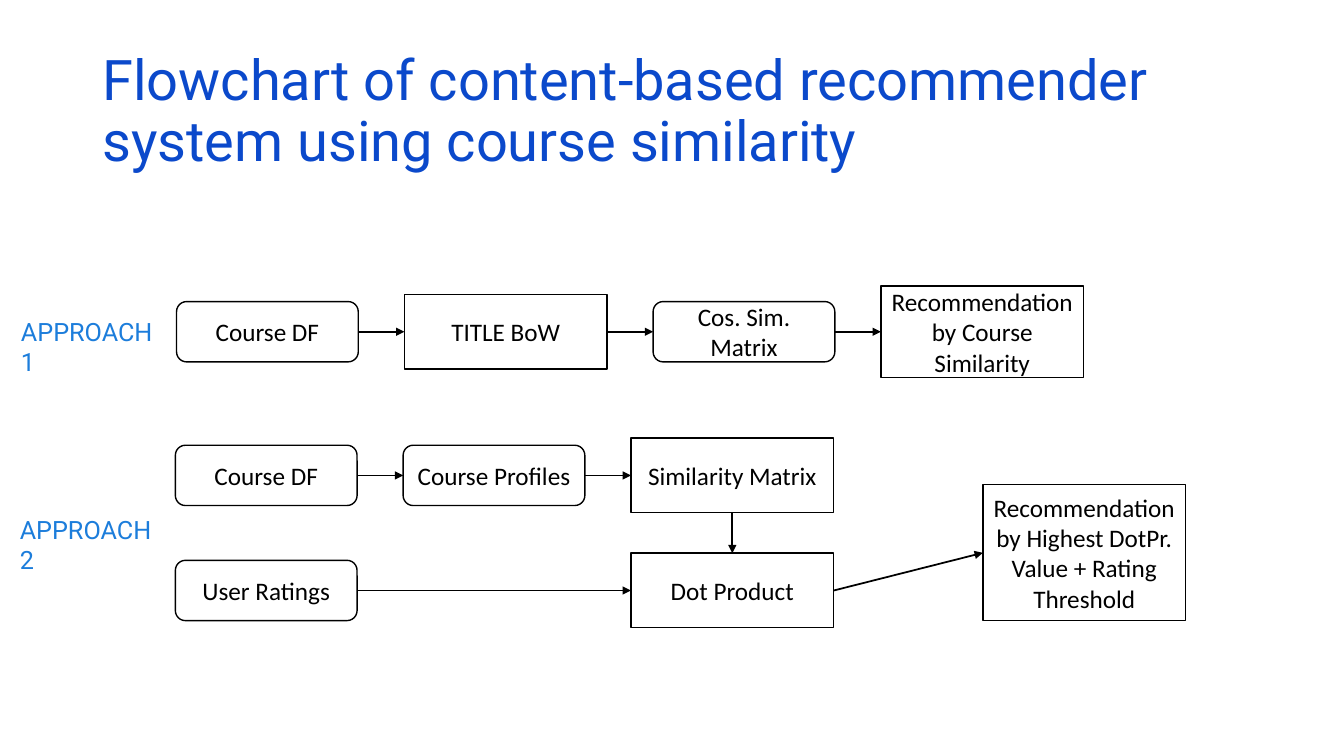
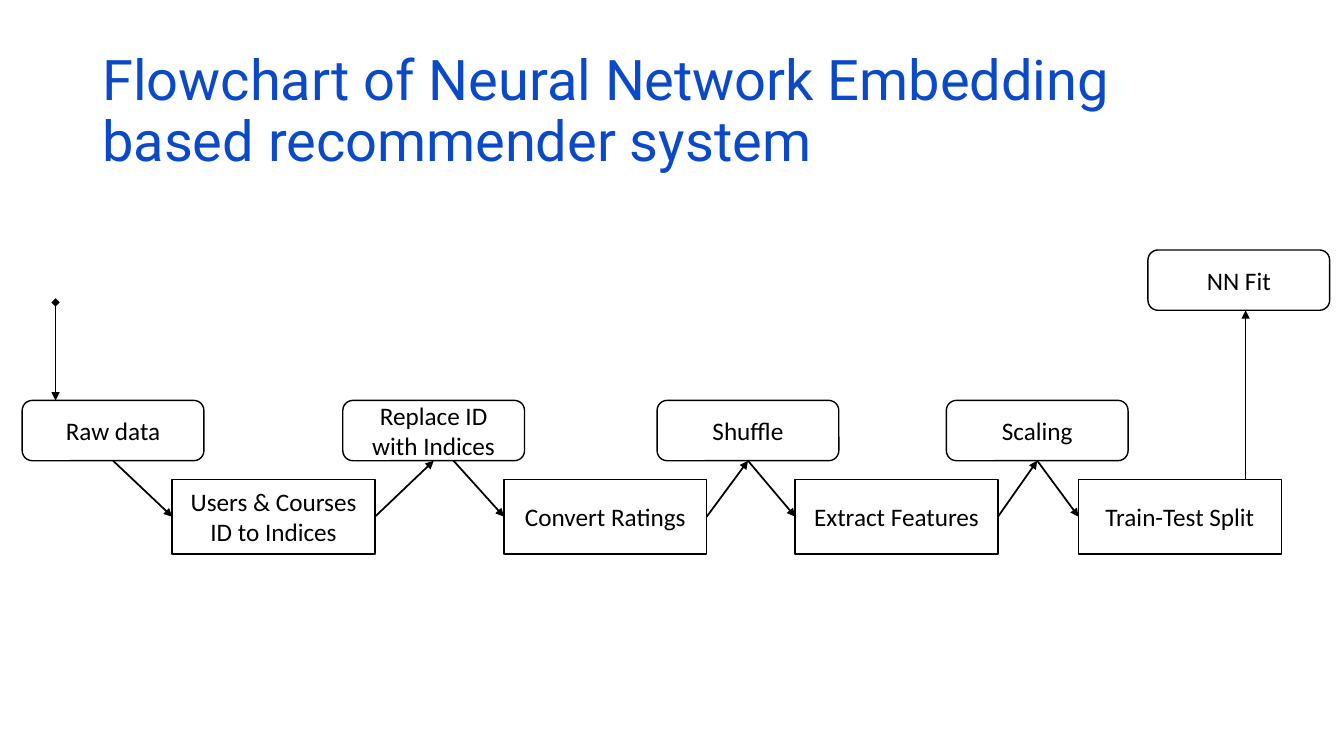
from dataclasses import dataclass
from itertools import pairwise

from lxml.etree import SubElement
from pptx import Presentation
from pptx.dml.color import RGBColor
from pptx.enum.shapes import MSO_CONNECTOR, MSO_SHAPE
from pptx.enum.text import MSO_ANCHOR, PP_ALIGN
from pptx.oxml.ns import qn
from pptx.util import Cm, Pt


@dataclass(frozen=True)
class Theme:
    title_color: RGBColor = RGBColor(0x0B, 0x49, 0xCB)
    label_color: RGBColor = RGBColor(0x1C, 0x7D, 0xDB)
    ink: RGBColor = RGBColor(0x00, 0x00, 0x00)
    paper: RGBColor = RGBColor(0xFF, 0xFF, 0xFF)
    heading_font: str = "Roboto"
    body_font: str = "Calibri"
    title_size: Pt = Pt(40)
    body_size: Pt = Pt(18)
    outline: Pt = Pt(1)
    arrow: Pt = Pt(1.25)


THEME = Theme()

# Node sizes and the gap between neighbours in a row
DATA_W, DATA_H = Cm(4.58), Cm(1.52)
STEP_W, STEP_H = Cm(5.11), Cm(1.88)
GAP = Cm(1.16)

# Connection sites
TOP, LEFT, BOTTOM, RIGHT = range(4)


def write(paragraph, text, font, size, color):
    run = paragraph.add_run()
    run.text = text
    run.font.name = font
    run.font.size = size
    run.font.color.rgb = color


def text_area(slide, left, top, width, height, text, font, size, color):
    area = slide.shapes.add_textbox(left, top, width, height)
    area.text_frame.word_wrap = True
    write(area.text_frame.paragraphs[0], text, font, size, color)
    return area.text_frame


def title(slide, text):
    frame = text_area(slide, Cm(2.33), Cm(1.01), Cm(29.21), Cm(3.68), text,
                      THEME.heading_font, THEME.title_size, THEME.title_color)
    frame.vertical_anchor = MSO_ANCHOR.MIDDLE
    frame.paragraphs[0].line_spacing = 0.9


def approach_label(slide, left, top, text):
    text_area(slide, left, top, Cm(4.17), Cm(1.02), text,
              THEME.heading_font, THEME.body_size, THEME.label_color)


def node(slide, kind, left, middle, width, height, text):
    """Box whose vertical centre lies on the line `middle`."""
    box = slide.shapes.add_shape(kind, left, middle - height // 2, width, height)
    box.shadow.inherit = False
    box.line.color.rgb = THEME.ink
    box.line.width = THEME.outline
    frame = box.text_frame
    frame.word_wrap = True
    frame.vertical_anchor = MSO_ANCHOR.MIDDLE
    frame.paragraphs[0].alignment = PP_ALIGN.CENTER
    write(frame.paragraphs[0], text, THEME.body_font, THEME.body_size, THEME.ink)
    return box


def data_node(slide, left, middle, text):
    box = node(slide, MSO_SHAPE.ROUNDED_RECTANGLE, left, middle, DATA_W, DATA_H, text)
    box.fill.background()
    return box


def step_node(slide, left, middle, text, height=STEP_H):
    box = node(slide, MSO_SHAPE.RECTANGLE, left, middle, STEP_W, height, text)
    box.fill.solid()
    box.fill.fore_color.rgb = THEME.paper
    return box


def arrow(slide, start, end, head=None):
    """Each end is a (box, site) pair to join, or a free (x, y) point."""
    line = slide.shapes.add_connector(MSO_CONNECTOR.STRAIGHT, 0, 0, 0, 0)
    if isinstance(start[0], int):
        line.begin_x, line.begin_y = start
    else:
        line.begin_connect(*start)
    if isinstance(end[0], int):
        line.end_x, line.end_y = end
    else:
        line.end_connect(*end)
    line.line.color.rgb = THEME.ink
    line.line.width = THEME.arrow
    properties = line.element.spPr
    stroke = properties.find(qn("a:ln"))
    if head:
        SubElement(stroke, qn("a:headEnd"), type=head)
    SubElement(stroke, qn("a:tailEnd"), type="triangle")
    SubElement(properties, qn("a:effectLst"))


def node_row(slide, left, middle, entries):
    """Row of nodes with equal gaps, each joined to the next."""
    row = []
    for make, text, *height in entries:
        row.append(make(slide, left, middle, text, *height))
        left += row[-1].width + GAP
    for source, target in pairwise(row):
        arrow(slide, (source, RIGHT), (target, LEFT))
    return row


def approach_one(slide, left, top):
    approach_label(slide, left, top + Cm(0.66), "APPROACH 1")
    node_row(slide, left + Cm(4.17), top + Cm(1.17), [
        (data_node, "Course DF"),
        (step_node, "TITLE BoW"),
        (data_node, "Cos. Sim. Matrix"),
        (step_node, "Recommendation by Course Similarity", Cm(2.31)),
    ])


def approach_two(slide, left, top):
    approach_label(slide, left, top + Cm(1.83), "APPROACH 2")
    row_left = left + Cm(4.17)
    # Course side
    similarity = node_row(slide, row_left, top + Cm(0.98), [
        (data_node, "Course DF"),
        (data_node, "Course Profiles"),
        (step_node, "Similarity Matrix"),
    ])[-1]
    # User side
    ratings = data_node(slide, row_left, top + Cm(3.88), "User Ratings")
    product = step_node(slide, similarity.left, top + Cm(3.88), "Dot Product")
    result = step_node(slide, left + Cm(24.52), top + Cm(2.93),
                       "Recommendation by Highest DotPr. Value + Rating Threshold",
                       Cm(3.43))
    arrow(slide, (ratings, RIGHT), (product, LEFT))
    arrow(slide, (similarity, BOTTOM), (product, TOP))
    arrow(slide, (product, RIGHT), (result, LEFT))


def training_pipeline(slide, left, top):
    upper, lower = top + Cm(4.55), top + Cm(6.72)
    # Upper and lower nodes alternate
    raw, users, replace, convert, shuffle, extract, scaling, split = [
        make(slide, left + Cm(offset), middle, text)
        for make, middle, offset, text in [
            (data_node, upper, 0, "Raw data"),
            (step_node, lower, 3.78, "Users & Courses ID to Indices"),
            (data_node, upper, 8.08, "Replace ID with Indices"),
            (step_node, lower, 12.14, "Convert Ratings"),
            (data_node, upper, 16, "Shuffle"),
            (step_node, lower, 19.48, "Extract Features"),
            (data_node, upper, 23.29, "Scaling"),
            (step_node, lower, 26.62, "Train-Test Split"),
        ]
    ]
    fit = data_node(slide, left + Cm(28.37), top + Cm(0.76), "NN Fit")
    # Zigzag
    replace_exit = (replace.left + DATA_W // 2 + Cm(0.5), replace.top + DATA_H)
    for start, target in [((raw, BOTTOM), users), (replace_exit, convert),
                          ((shuffle, BOTTOM), extract), ((scaling, BOTTOM), split)]:
        arrow(slide, start, (target, LEFT))
    for source, target in [(users, replace), (convert, shuffle), (extract, scaling)]:
        arrow(slide, (source, RIGHT), (target, BOTTOM))
    # Entry and exit
    entry_x, exit_x = left + Cm(0.84), left + Cm(30.83)
    arrow(slide, (entry_x, top + Cm(1.32)), (entry_x, raw.top), head="diamond")
    arrow(slide, (exit_x, split.top), (exit_x, fit.top + DATA_H))


def main():
    deck = Presentation()
    deck.slide_width, deck.slide_height = Cm(33.87), Cm(19.05)
    blank = deck.slide_layouts[6]

    similarity_slide = deck.slides.add_slide(blank)
    title(similarity_slide,
          "Flowchart of content-based recommender system using course similarity")
    approach_one(similarity_slide, Cm(0.28), Cm(7.19))
    approach_two(similarity_slide, Cm(0.25), Cm(11))

    network_slide = deck.slides.add_slide(blank)
    title(network_slide,
          "Flowchart of Neural Network Embedding based recommender system")
    training_pipeline(network_slide, Cm(0.56), Cm(6.3))

    deck.save("out.pptx")


if __name__ == "__main__":
    main()
